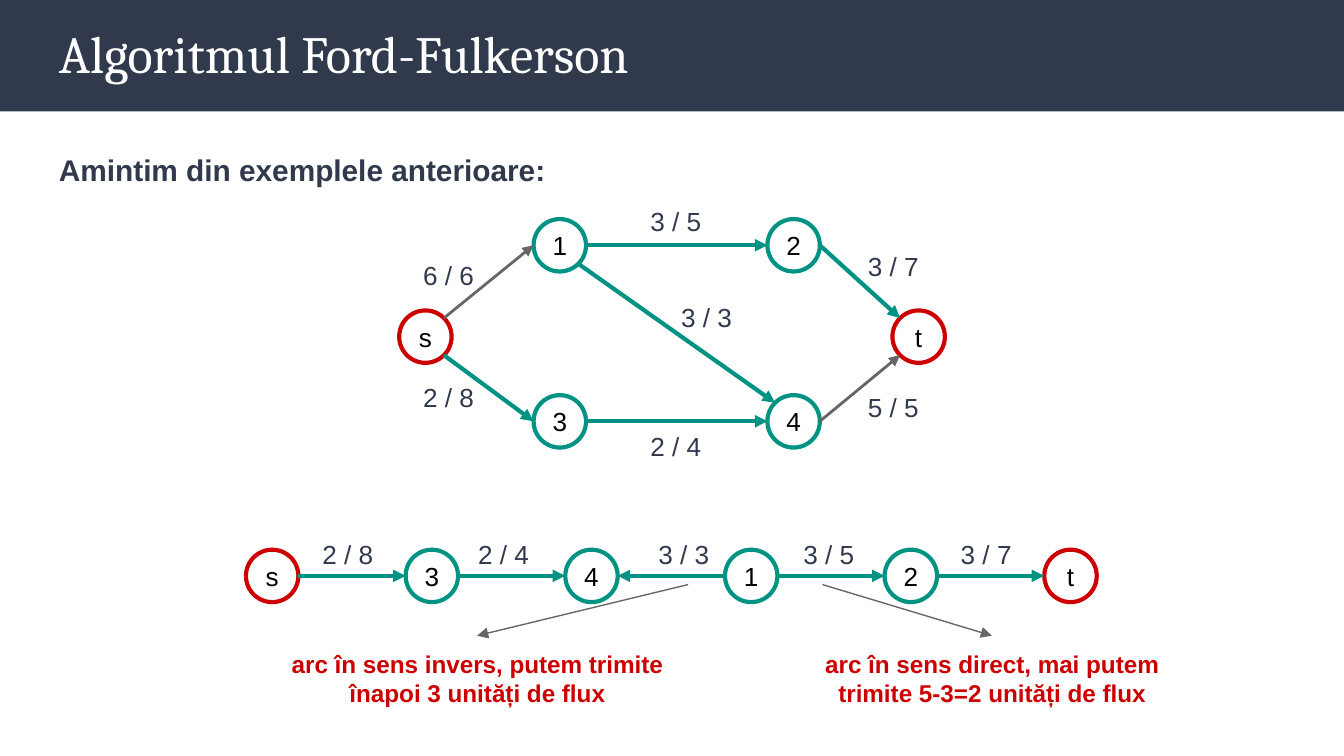
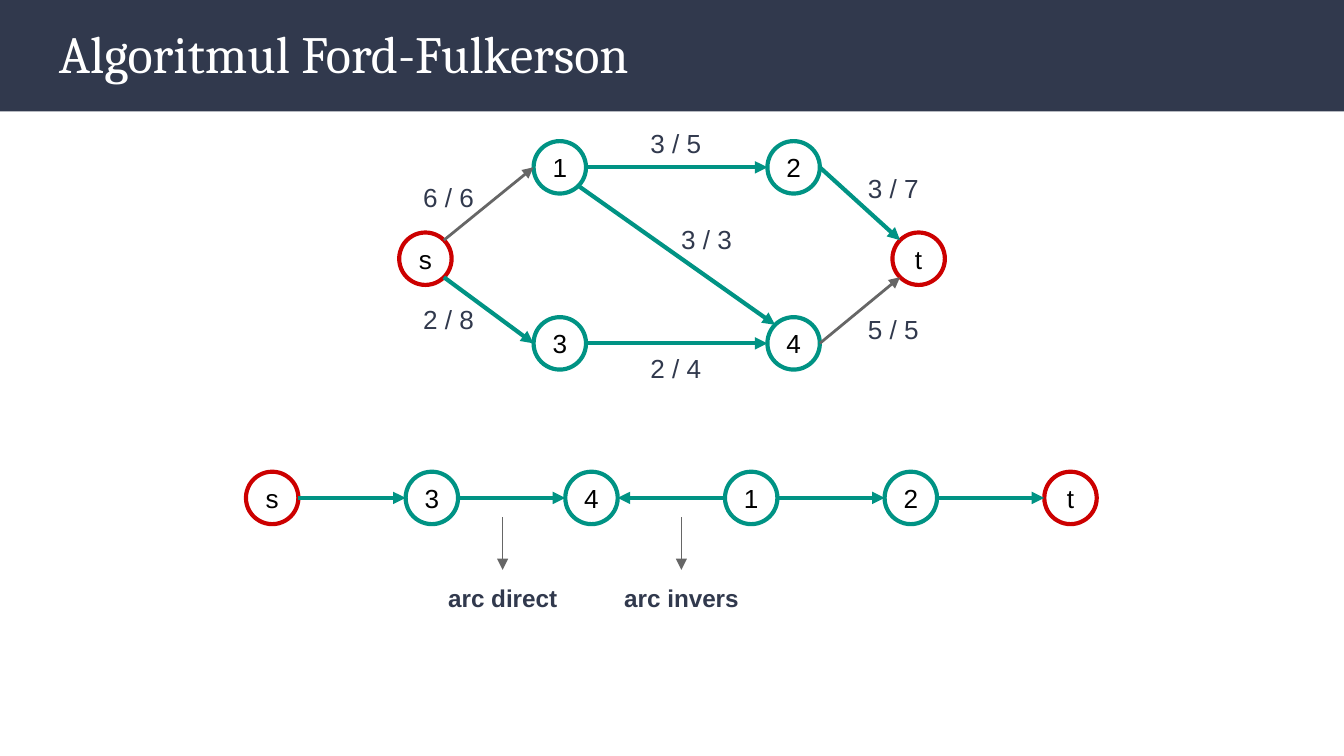
from math import sqrt

from lxml import etree
from pptx import Presentation
from pptx.dml.color import RGBColor
from pptx.enum import shapes, text
from pptx.oxml import ns
from pptx.util import Inches, Pt

NAVY = RGBColor(0x31, 0x39, 0x4D)
TEAL = RGBColor(0x00, 0x93, 0x84)
RED = RGBColor(0xCC, 0x00, 0x00)
GRAY = RGBColor(0x66, 0x66, 0x66)
BLACK = RGBColor(0, 0, 0)
WHITE = RGBColor(0xFF, 0xFF, 0xFF)

TITLE = dict(name="Cambria", size=Pt(28), color=WHITE)
LEAD = dict(name="Arial", size=Pt(16), bold=True, color=NAVY)
NODE = dict(name="Arial", size=Pt(14), color=BLACK)
FLOW = dict(name="Arial", size=Pt(14), color=NAVY)
NOTE = dict(name="Arial", size=Pt(13), bold=True, color=NAVY)
WARNING = dict(NOTE, color=RED)

LEFT, CENTER = text.PP_ALIGN.LEFT, text.PP_ALIGN.CENTER
NODE_SIZE = 0.39
PATH_WIDTH = 5.94  # between the left edges of the first and last node
LABEL_W, LABEL_H = 0.6, 0.44

# Points on a node's rim, as directions from its centre.
D = sqrt(0.5)
RIM = dict(w=(-1, 0), e=(1, 0), nw=(-D, -D), ne=(D, -D), sw=(-D, D), se=(D, D))

GRAPH_NODES = {"s": (0, 0.68), "4": (2.74, 1.31), "3": (1, 1.31),
               "2": (2.74, 0), "1": (1, 0), "t": (3.67, 0.68)}
# start, rim point, end, rim point, on augmenting path, flow, label offset
GRAPH_EDGES = [
    ("s", "ne", "1", "w", False, "6 / 6", (0.08, 0.2)),
    ("1", "e", "2", "w", True, "3 / 5", (1.77, -0.2)),
    ("2", "e", "t", "nw", True, "3 / 7", (3.39, 0.13)),
    ("s", "se", "3", "w", True, "2 / 8", (0.08, 1.11)),
    ("3", "e", "4", "w", True, "2 / 4", (1.77, 1.47)),
    ("4", "e", "t", "sw", False, "5 / 5", (3.39, 1.18)),
    ("1", "se", "4", "nw", True, "3 / 3", (2, 0.51)),
]
PATH_NODES = "s3412t"
PATH_REVERSED = {("4", "1")}
PATH_FLOWS = [("2 / 8", 0.47), ("2 / 4", 1.63), ("3 / 3", 2.97),
              ("3 / 5", 4.05), ("3 / 7", 5.22)]


def write(tf, words, font, align=LEFT, margin=0.1, **spacing):
    tf.word_wrap = True
    for side in ("left", "top", "right", "bottom"):
        setattr(tf, f"margin_{side}", Inches(margin))
    p = tf.paragraphs[0]
    p.alignment = align
    for name, value in spacing.items():
        setattr(p, name, value)
    r = p.add_run()
    r.text = words
    for name, value in font.items():
        if name == "color":
            r.font.color.rgb = value
        else:
            setattr(r.font, name, value)


def add_text(s, box, words, font, align=LEFT, **spacing):
    tb = s.shapes.add_textbox(*map(Inches, box))
    write(tb.text_frame, words, font, align, **spacing)


def add_arrow(s, start, end, color, width):
    cx = s.shapes.add_connector(shapes.MSO_CONNECTOR.STRAIGHT,
                                *map(Inches, (*start, *end)))
    cx.line.color.rgb = color
    cx.line.width = Pt(width)
    etree.SubElement(cx.line._get_or_add_ln(), ns.qn("a:tailEnd"), type="triangle")
    etree.SubElement(cx._element.spPr, ns.qn("a:effectLst"))


def add_node(s, x, y, name):
    sp = s.shapes.add_shape(shapes.MSO_SHAPE.OVAL,
                            *map(Inches, (x, y, NODE_SIZE, NODE_SIZE)))
    sp.shadow.inherit = False
    sp.fill.background()
    sp.line.color.rgb = RED if name in "st" else TEAL
    sp.line.width = Pt(2.25)
    sp.text_frame.vertical_anchor = text.MSO_ANCHOR.MIDDLE
    write(sp.text_frame, name, NODE, CENTER, margin=0.02)


def rim_point(corner, side):
    r = NODE_SIZE / 2
    return tuple(c + r + r * d for c, d in zip(corner, RIM[side]))


def add_base_slide(prs):
    """Add a slide with the title band."""
    s = prs.slides.add_slide(prs.slide_layouts[6])
    band = s.shapes.add_shape(shapes.MSO_SHAPE.RECTANGLE, 0, 0,
                              prs.slide_width, Inches(0.83))
    band.shadow.inherit = False
    band.fill.solid()
    band.fill.fore_color.rgb = NAVY
    band.line.fill.background()
    add_text(s, (0.34, 0.06, 9.32, 0.68), "Algoritmul Ford-Fulkerson", TITLE)
    return s


def add_flow_graph(s, x, y):
    corners = {n: (x + dx, y + dy) for n, (dx, dy) in GRAPH_NODES.items()}
    for name, corner in corners.items():
        add_node(s, *corner, name)
    for a, a_side, b, b_side, on_path, flow, (dx, dy) in GRAPH_EDGES:
        color, width = (TEAL, 2.25) if on_path else (GRAY, 1.5)
        add_arrow(s, rim_point(corners[a], a_side), rim_point(corners[b], b_side),
                  color, width)
        add_text(s, (x + dx, y + dy, LABEL_W, LABEL_H), flow, FLOW)


def add_augmenting_path(s, x, y, flows=()):
    step = PATH_WIDTH / (len(PATH_NODES) - 1)
    corners = [(x + i * step, y) for i in range(len(PATH_NODES))]
    for name, corner in zip(PATH_NODES, corners):
        add_node(s, *corner, name)
    for i, pair in enumerate(zip(PATH_NODES, PATH_NODES[1:])):
        ends = [rim_point(corners[i], "e"), rim_point(corners[i + 1], "w")]
        if pair in PATH_REVERSED:
            ends.reverse()
        add_arrow(s, *ends, TEAL, 2.25)
    for flow, dx in flows:
        add_text(s, (x + dx, y - 0.18, LABEL_W, LABEL_H), flow, FLOW)


def add_callout(s, start, end, words, width, height, font):
    """Thin arrow with a note centred under its head."""
    add_arrow(s, start, end, GRAY, 0.75)
    add_text(s, (end[0] - width / 2, end[1], width, height), words, font, CENTER)


def add_flow_slide(prs):
    s = add_base_slide(prs)
    add_text(s, (0.34, 0.99, 9.32, 4.11), "Amintim din exemplele anterioare:", LEAD,
             line_spacing=1.15, space_after=Pt(12))
    add_flow_graph(s, 2.97, 1.63)
    add_augmenting_path(s, 1.83, 4.09, PATH_FLOWS)
    for start, end, words in [
        ((5.12, 4.35), (3.55, 4.73),
         "arc în sens invers, putem trimite înapoi 3 unități de flux"),
        ((6.12, 4.35), (7.38, 4.73),
         "arc în sens direct, mai putem trimite 5-3=2 unități de flux"),
    ]:
        add_callout(s, start, end, words, 3.02, 0.64, WARNING)


def add_arc_types_slide(prs):
    s = add_base_slide(prs)
    add_flow_graph(s, 2.97, 1.05)
    add_augmenting_path(s, 1.83, 3.51)
    for x, words, width in [(3.74, "arc direct", 1.14), (5.07, "arc invers", 1.24)]:
        add_callout(s, (x, 3.85), (x, 4.24), words, width, 0.42, NOTE)


def main():
    prs = Presentation()
    prs.slide_width = Inches(10)
    prs.slide_height = prs.slide_width * 9 // 16
    add_flow_slide(prs)
    add_arc_types_slide(prs)
    prs.save("out.pptx")


if __name__ == "__main__":
    main()
